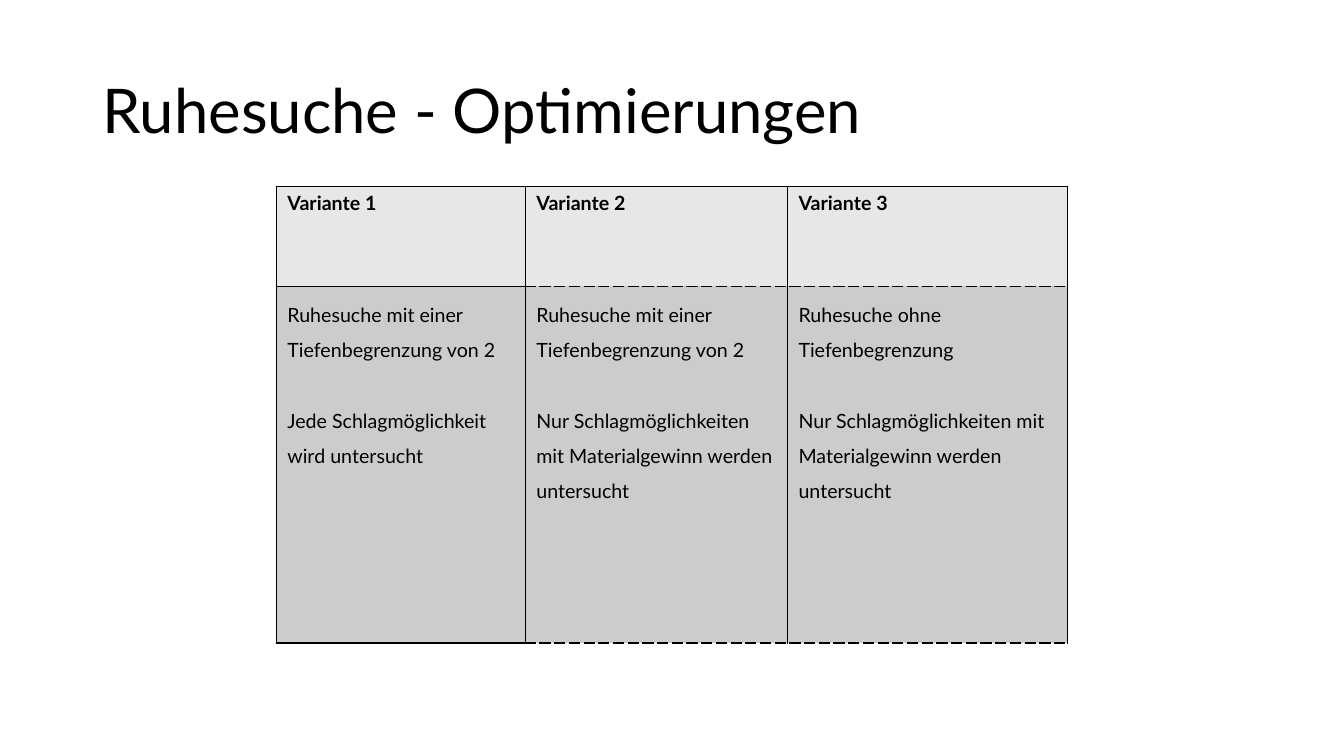
import lxml.etree
import pptx
import pptx.dml.color
import pptx.enum.text
import pptx.oxml.ns
import pptx.util

FONT = "Lato"
BLACK = "000000"
HEADER_FILL = "E7E7E7"
BODY_FILL = "CCCCCC"
TEXT_SIZE = 14
LINE_SPACING = 1.5
PARAGRAPH_GAP = 25.2  # one full line of body text

COLUMN_WIDTHS = [2.47, 2.6, 2.78]
ROW_HEIGHTS = [0.99, 3.54]
VARIANTS = [
    ("Variante 1", "Ruhesuche mit einer Tiefenbegrenzung von 2",
     "Jede Schlagmöglichkeit wird untersucht"),
    ("Variante 2", "Ruhesuche mit einer Tiefenbegrenzung von 2",
     "Nur Schlagmöglichkeiten mit Materialgewinn werden untersucht"),
    ("Variante 3", "Ruhesuche ohne Tiefenbegrenzung",
     "Nur Schlagmöglichkeiten mit Materialgewinn werden untersucht"),
]


def color(value):
    return pptx.dml.color.RGBColor.from_string(value)


def inches(*lengths):
    return [pptx.util.Inches(length) for length in lengths]


def style_paragraph(para, size, bold=False):
    for span in para.runs:
        span.font.name = FONT
        span.font.size = pptx.util.Pt(size)
        span.font.bold = bold
        span.font.color.rgb = color(BLACK)


def add_border(cell, side, dash):
    """Draw a 1 pt line on one side (L, R, T or B) of a cell."""
    qn = pptx.oxml.ns.qn
    properties = cell._tc.get_or_add_tcPr()
    line = lxml.etree.SubElement(properties, qn(f"a:ln{side}"), w="12700")
    fill = lxml.etree.SubElement(line, qn("a:solidFill"))
    lxml.etree.SubElement(fill, qn("a:srgbClr"), val=BLACK)
    lxml.etree.SubElement(line, qn("a:prstDash"), val=dash)


def style_cell(cell, fill, dashed_sides):
    cell.margin_left, cell.margin_right = inches(0.11, 0.11)
    cell.margin_top, cell.margin_bottom = inches(0.05, 0.05)
    for side in "LRTB":
        add_border(cell, side, "sysDash" if side in dashed_sides else "solid")
    cell.fill.solid()
    cell.fill.fore_color.rgb = color(fill)


def add_title(page, box, text):
    frame = page.shapes.add_textbox(*inches(*box)).text_frame
    frame.word_wrap = True
    frame.vertical_anchor = pptx.enum.text.MSO_ANCHOR.MIDDLE
    para = frame.paragraphs[0]
    para.text = text
    para.line_spacing = 0.9
    style_paragraph(para, 44)


def add_variant_table(page, left, top):
    """Place one column per variant: its name above its description."""
    box = inches(left, top, sum(COLUMN_WIDTHS), sum(ROW_HEIGHTS))
    table = page.shapes.add_table(len(ROW_HEIGHTS), len(VARIANTS), *box).table
    table.first_row = table.horz_banding = False
    for row, height in zip(table.rows, ROW_HEIGHTS):
        row.height = pptx.util.Inches(height)

    for index, (name, depth, captures) in enumerate(VARIANTS):
        table.columns[index].width = pptx.util.Inches(COLUMN_WIDTHS[index])
        header, body = table.cell(0, index), table.cell(1, index)
        style_cell(header, HEADER_FILL, "B" if index else "")
        style_cell(body, BODY_FILL, "TB" if index else "")

        header.text_frame.text = name
        style_paragraph(header.text_frame.paragraphs[0], TEXT_SIZE, bold=True)

        body.text_frame.text = f"{depth}\n{captures}"
        for para in body.text_frame.paragraphs:
            para.line_spacing = LINE_SPACING
            style_paragraph(para, TEXT_SIZE)
        body.text_frame.paragraphs[1].space_before = pptx.util.Pt(PARAGRAPH_GAP)


def main():
    deck = pptx.Presentation()
    deck.slide_width, deck.slide_height = inches(13.33, 7.5)
    page = deck.slides.add_slide(deck.slide_layouts[6])
    add_title(page, (0.92, 0.4, 11.5, 1.45), "Ruhesuche - Optimierungen")
    add_variant_table(page, 2.74, 1.85)
    deck.save("out.pptx")


if __name__ == "__main__":
    main()
